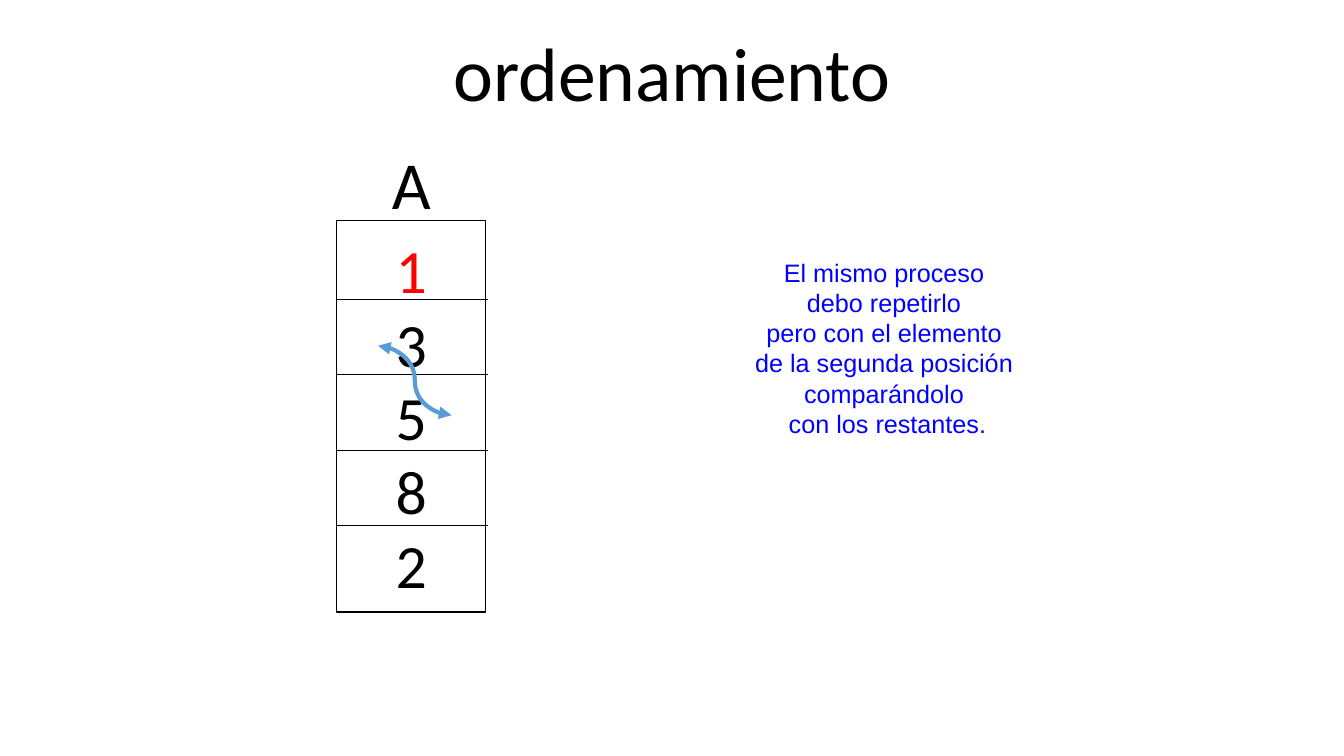
from pptx import Presentation
from pptx.dml.color import RGBColor
from pptx.enum.shapes import MSO_CONNECTOR, MSO_SHAPE
from pptx.enum.text import MSO_ANCHOR, MSO_AUTO_SIZE, PP_ALIGN
from pptx.util import Inches, Pt
from lxml.etree import SubElement
from pptx.oxml.ns import qn

HEX = {"ink": "000000", "mark": "FF0000", "note": "0000FF", "swap": "5B9BD5"}
COLOR = {name: RGBColor.from_string(code) for name, code in HEX.items()}

deck = Presentation()
deck.slide_width, deck.slide_height = Inches(13.33), Inches(7.5)
slide = deck.slides.add_slide(deck.slide_layouts[6])
shapes = slide.shapes


def place(*shares):
    """Turn x, y pairs in percent of the slide into lengths."""
    sides = (deck.slide_width, deck.slide_height)
    return [int(sides[i % 2] * share / 100) for i, share in enumerate(shares)]


def write(shape, lines, size, font="Calibri", color="ink", first=None,
          align=PP_ALIGN.CENTER, anchor=MSO_ANCHOR.TOP, wrap=True,
          space=1.0, fit=MSO_AUTO_SIZE.NONE):
    """Fill a shape with one paragraph per line; first recolours the top one."""
    frame = shape.text_frame
    frame.word_wrap, frame.vertical_anchor = wrap, anchor
    frame.auto_size = fit
    frame.text = "\n".join(lines)
    for row, para in enumerate(frame.paragraphs):
        para.alignment, para.line_spacing = align, space
        face = para.runs[0].font
        face.name, face.size = font, Pt(size)
        face.color.rgb = COLOR[first if first and row == 0 else color]


# Title
title = shapes.add_textbox(*place(12.5, 3.2, 75, 13.07))
write(title, ["ordenamiento"], 54, anchor=MSO_ANCHOR.BOTTOM, space=0.9)

# Array of values
left, top, width = 25.05, 29.2, 11.1
array = shapes.add_shape(MSO_SHAPE.RECTANGLE, *place(left, top, width, 51.73))
array.shadow.inherit = False
array.fill.background()
array.line.color.rgb = COLOR["ink"]
array.line.width = Pt(1)
write(array, "13582", 44, first="mark", anchor=MSO_ANCHOR.MIDDLE)

# Cell dividers, then the swap arrow: kind, ends, colour, weight
pitch = 9.96
links = [(MSO_CONNECTOR.STRAIGHT, (left, y, left + 11.25, y), "ink", 0.5)
         for y in (39.6 + pitch * row for row in range(4))]
links.append((MSO_CONNECTOR.CURVE, (28.13, 45.73, 33.6, 54.93), "swap", 3))

label = None
for kind, ends, color, weight in links:
    if kind == MSO_CONNECTOR.CURVE:
        label = shapes.add_textbox(*place(28.42, 18.13, 4.43, 12.13))
        write(label, ["A"], 48, align=PP_ALIGN.LEFT, wrap=False,
              fit=MSO_AUTO_SIZE.SHAPE_TO_FIT_TEXT)
    link = shapes.add_connector(kind, *place(*ends))
    link.line.color.rgb = COLOR[color]
    link.line.width = Pt(weight)
    props = link._element.spPr
    SubElement(props, qn("a:effectLst"))
    if kind == MSO_CONNECTOR.CURVE:
        for end in ("a:headEnd", "a:tailEnd"):
            SubElement(props.find(qn("a:ln")), qn(end), type="triangle")

# Explanation
note = shapes.add_textbox(*place(46.35, 33.33, 39.37, 25.33))
write(note, ["El mismo proceso ", "debo repetirlo ", "pero con el elemento ",
             "de la segunda posición ", "comparándolo ", "con los restantes."],
      18, font="Arial", color="note", fit=MSO_AUTO_SIZE.SHAPE_TO_FIT_TEXT)

deck.save("out.pptx")
